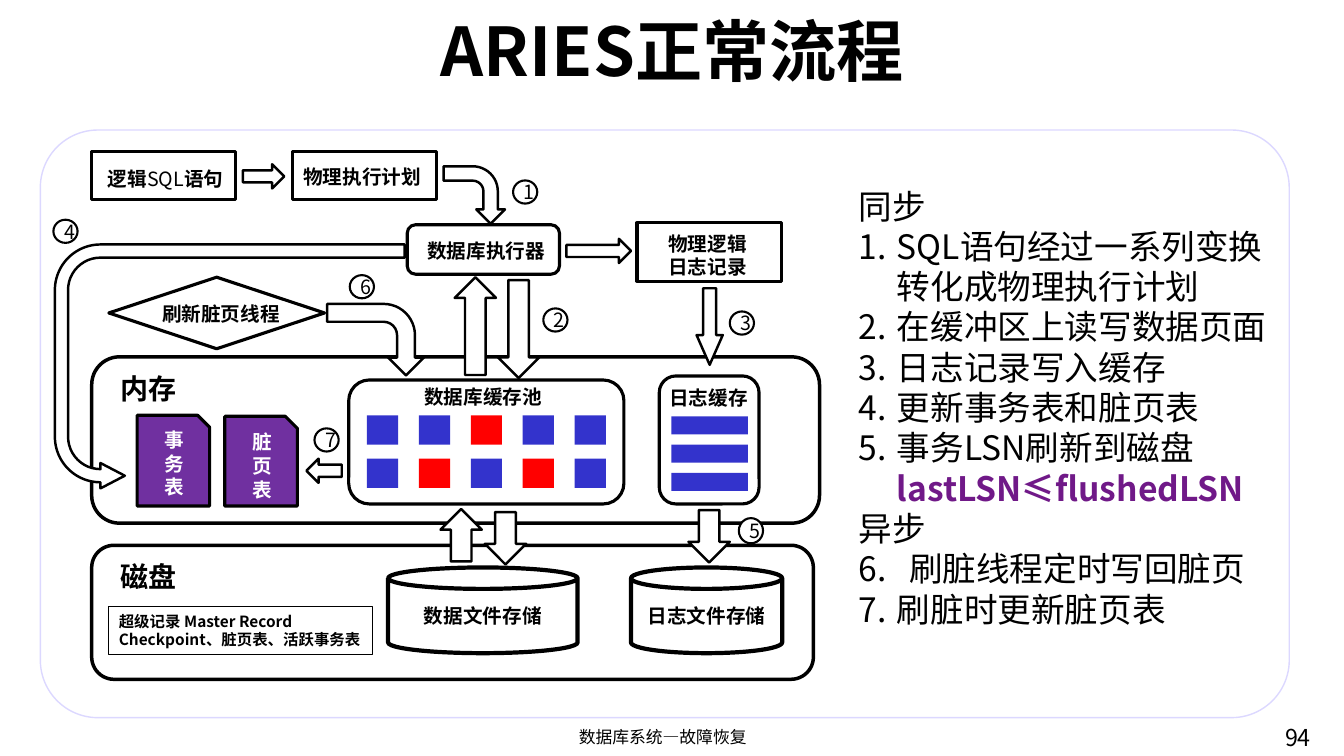
from lxml.etree import SubElement
from pptx import Presentation
from pptx.dml.color import RGBColor
from pptx.enum.shapes import MSO_SHAPE
from pptx.enum.text import MSO_ANCHOR, PP_ALIGN
from pptx.oxml.ns import qn
from pptx.util import Inches, Pt

FONT = "Noto Sans CJK SC"
BLACK = RGBColor(0x00, 0x00, 0x00)
WHITE = RGBColor(0xFF, 0xFF, 0xFF)
BLUE = RGBColor(0x33, 0x33, 0xCC)
RED = RGBColor(0xFF, 0x00, 0x00)
PURPLE = RGBColor(0x70, 0x30, 0xA0)
CONDITION = RGBColor(0x70, 0x19, 0x88)
LAVENDER = RGBColor(0xDC, 0xD8, 0xFF)

# One grid cell is a tenth of an inch: 133.3 columns by 75 rows
CELL = Inches(0.1)

presentation = Presentation()
presentation.slide_width = int(133.33 * CELL)
presentation.slide_height = 75 * CELL
slide = presentation.slides.add_slide(presentation.slide_layouts[5])


def style_text(frame, size, bold=False, color=BLACK, align=PP_ALIGN.LEFT):
    frame.word_wrap = True
    for paragraph in frame.paragraphs:
        paragraph.alignment = align
        for run in paragraph.runs:
            run.font.size = Pt(size)
            run.font.bold = bold
            run.font.name = FONT
            run.font.color.rgb = color
            SubElement(run.font._element, qn("a:ea"), typeface=FONT)


def draw(kind, grid, fill=WHITE, weight=2.25, line=BLACK, turn=0, adjust=()):
    """Draw a preset shape at grid = (column, row, columns, rows)."""
    shape = slide.shapes.add_shape(kind, *(int(cells * CELL) for cells in grid))
    shape.shadow.inherit = False
    shape.rotation = turn
    for index, value in enumerate(adjust):
        shape.adjustments[index] = value
    if fill is None:
        shape.fill.background()
    else:
        shape.fill.solid()
        shape.fill.fore_color.rgb = fill
    if weight:
        shape.line.color.rgb = line
        shape.line.width = Pt(weight)
    else:
        shape.line.fill.background()
    return shape


# Title and panel
title = slide.shapes.title
title.left, title.top, title.width, title.height = (
    int(cells * CELL) for cells in (11.5, 1.2, 110.4, 7.4))
title.text_frame.text = "ARIES正常流程"
title.text_frame.vertical_anchor = MSO_ANCHOR.MIDDLE
style_text(title.text_frame, 48, True, align=PP_ALIGN.CENTER)
draw(MSO_SHAPE.ROUNDED_RECTANGLE, (4, 12.9, 123.9, 58.3), weight=1,
     line=LAVENDER, adjust=[0.098])

# Disk and memory, then the steps around them
for container in ((9.1, 54.1, 71.6, 13.3), (9.1, 35.4, 72.2, 16.5)):
    draw(MSO_SHAPE.ROUNDED_RECTANGLE, container, fill=None, weight=2.5)

for kind, grid, fill in (
    (MSO_SHAPE.ROUNDED_RECTANGLE, (40.4, 22.3, 15.1, 4.9), WHITE),
    (MSO_SHAPE.FLOWCHART_DECISION, (10.8, 27.5, 21.4, 7.1), WHITE),
    (MSO_SHAPE.RECTANGLE, (63.2, 22.1, 14.3, 5.8), WHITE),
    (MSO_SHAPE.RECTANGLE, (29, 15, 14.3, 4.8), WHITE),
    (MSO_SHAPE.RECTANGLE, (9.1, 15, 14.3, 4.8), WHITE),
    (MSO_SHAPE.ROUNDED_RECTANGLE, (34.6, 37.7, 27.3, 12.3), WHITE),
    (MSO_SHAPE.ROUNDED_RECTANGLE, (65.4, 37.3, 9.9, 12.7), WHITE),
    (MSO_SHAPE.SNIP_1_RECTANGLE, (13.6, 41.2, 7.2, 9), PURPLE),
    (MSO_SHAPE.SNIP_1_RECTANGLE, (22.3, 41.3, 7.2, 8.9), PURPLE),
):
    draw(kind, grid, fill)

for store, column, columns in (("数据文件存储", 38.5, 18.8), ("日志文件存储", 62.6, 15)):
    can = draw(MSO_SHAPE.CAN, (column, 56.3, columns, 8.5), weight=3)
    can.text_frame.text = store
    can.text_frame.vertical_anchor = MSO_ANCHOR.MIDDLE
    style_text(can.text_frame, 14, True, align=PP_ALIGN.CENTER)

# Buffer pool pages (red ones are dirty) and log buffer records
dirty_pages = {(0, 2), (1, 1), (1, 3)}
for row in range(2):
    for column in range(5):
        draw(MSO_SHAPE.RECTANGLE,
             (36.4 + 5.15 * column, 41.2 + 4.3 * row, 3.1, 2.9),
             RED if (row, column) in dirty_pages else BLUE, weight=0)
for record in range(3):
    draw(MSO_SHAPE.RECTANGLE, (66.6, 41.3 + 2.8 * record, 7.6, 1.8), BLUE, weight=0)

# Arrows
for kind, grid, turn, adjust in (
    (MSO_SHAPE.RIGHT_ARROW, (24.1, 16.3, 4.1, 2.4), 0, ()),
    (MSO_SHAPE.RIGHT_ARROW, (56.2, 23.7, 6.4, 2.4), 0, ()),
    (MSO_SHAPE.RIGHT_ARROW, (66.6, 31.1, 7.6, 2.6), 90, (0.5, 1.135)),
    (MSO_SHAPE.RIGHT_ARROW, (30.4, 45.5, 3.5, 2.4), 180, ()),
    (MSO_SHAPE.BENT_ARROW, (33.7, 28.9, 7.1, 9.6), 90, ()),
    (MSO_SHAPE.BENT_ARROW, (44.2, 16.3, 5.7, 6.1), 90, ()),
    (MSO_SHAPE.DOWN_ARROW, (49.4, 27.8, 4.1, 9.7), 0, ()),
    (MSO_SHAPE.DOWN_ARROW, (45.1, 27.5, 4.1, 9.7), 180, ()),
    (MSO_SHAPE.DOWN_ARROW, (48.1, 50.8, 4.1, 5.2), 0, ()),
    (MSO_SHAPE.DOWN_ARROW, (43.7, 50.5, 4.1, 5.2), 180, ()),
    (MSO_SHAPE.DOWN_ARROW, (68.3, 50.6, 4.1, 5.2), 0, ()),
):
    draw(kind, grid, weight=1.75, turn=turn, adjust=adjust)
table_update = draw(MSO_SHAPE.U_TURN_ARROW, (10.7, 19, 24.2, 34.7), weight=1.75,
                    turn=270, adjust=(0.054, 0.052, 0.1, 0.438, 0.2))
table_update.element.spPr.find(qn("a:xfrm")).set("flipH", "1")

# Step numbers, set a little right of the middle
for step, (column, row, size) in enumerate((
    (50.9, 17.9, 2.3), (53.9, 30.6, 2.3), (72.4, 30.9, 2.3), (5.3, 21.8, 2.3),
    (73.3, 51.4, 2.5), (34.7, 27.3, 2.3), (31.2, 42.5, 2.3),
), start=1):
    badge = draw(MSO_SHAPE.OVAL, (column, row, 2.4, size), weight=1.5)
    frame = badge.text_frame
    frame.margin_left = int(0.8 * CELL)
    frame.margin_right = frame.margin_top = frame.margin_bottom = 0
    frame.text = str(step)
    frame.vertical_anchor = MSO_ANCHOR.MIDDLE
    style_text(frame, 14, align=PP_ALIGN.CENTER)
    frame.word_wrap = False

# Labels, footer and page number
for text, grid, size, bold, color, align in (
    ("磁盘", (11, 55, 19.3, 3.9), 20, True, BLACK, PP_ALIGN.LEFT),
    ("内存", (11, 36.4, 8, 3.9), 20, True, BLACK, PP_ALIGN.LEFT),
    ("数据库缓存池", (41.1, 37.7, 15.6, 3), 14, True, BLACK, PP_ALIGN.LEFT),
    ("日志缓存", (65.4, 37.8, 11.4, 3), 14, True, BLACK, PP_ALIGN.LEFT),
    ("物理逻辑日志记录", (65.3, 22.5, 11.2, 5.1), 14, True, BLACK, PP_ALIGN.LEFT),
    ("物理执行计划", (29.1, 15.9, 15.6, 3), 14, True, BLACK, PP_ALIGN.LEFT),
    ("数据库执行器", (41.4, 23.2, 14.2, 3), 14, True, BLACK, PP_ALIGN.LEFT),
    ("刷新脏页线程", (15.1, 29.5, 15.5, 3), 14, True, BLACK, PP_ALIGN.LEFT),
    ("脏页表", (24.1, 42.2, 4, 7.2), 14, True, WHITE, PP_ALIGN.LEFT),
    ("事务表", (15.3, 42, 4, 7.2), 14, True, WHITE, PP_ALIGN.LEFT),
    ("数据库系统—故障恢复", (44.7, 71.6, 42.1, 3.4), 12, False, BLACK, PP_ALIGN.CENTER),
    ("94", (126.5, 71.3, 6.8, 3.6), 16.6, False, BLACK, PP_ALIGN.LEFT),
):
    label = slide.shapes.add_textbox(*(int(cells * CELL) for cells in grid))
    label.text_frame.text = text
    style_text(label.text_frame, size, bold, color, align)

statement = slide.shapes.add_textbox(
    *(int(cells * CELL) for cells in (9.7, 16.1, 14.9, 3)))
statement_text = statement.text_frame.paragraphs[0]
for part in ("逻辑", "SQL", "语句"):
    statement_text.add_run().text = part
style_text(statement.text_frame, 14, True)
statement_text.runs[1].font.bold = False

master_record = draw(MSO_SHAPE.RECTANGLE, (10.8, 60.2, 26.2, 4.7), fill=None, weight=0.75)
master_record.text_frame.text = "超级记录 Master Record\nCheckpoint、脏页表、活跃事务表"
master_record.text_frame.vertical_anchor = MSO_ANCHOR.TOP
style_text(master_record.text_frame, 11, True)

# Explanation: text, hanging indent in cells (0 for a heading), first number
explanation = slide.shapes.add_textbox(
    *(int(cells * CELL) for cells in (84.2, 17.9, 44, 49.5))).text_frame
steps = (
    ("同步", 0, 1),
    ("SQL语句经过一系列变换转化成物理执行计划", 3.8, 1),
    ("在缓冲区上读写数据页面", 3.8, 1),
    ("日志记录写入缓存", 3.8, 1),
    ("更新事务表和脏页表", 3.8, 1),
    ("事务LSN刷新到磁盘", 3.8, 1),
    ("异步", 0, 1),
    ("刷脏线程定时写回脏页", 5, 6),
    ("刷脏时更新脏页表", 3.8, 6),
)
explanation.text = "\n".join(text for text, _, _ in steps)
for paragraph, (_, indent, first) in zip(explanation.paragraphs, steps):
    if indent:
        properties = paragraph._p.get_or_add_pPr()
        properties.set("marL", str(int(indent * CELL)))
        properties.set("indent", str(-int(indent * CELL)))
        numbering = SubElement(properties, qn("a:buAutoNum"), type="arabicPeriod")
        if first > 1:
            numbering.set("startAt", str(first))
condition = explanation.paragraphs[5].add_run()
condition.text = "lastLSN≤flushedLSN"
style_text(explanation, 24)
condition.font.bold = True
condition.font.color.rgb = CONDITION

presentation.save("out.pptx")
